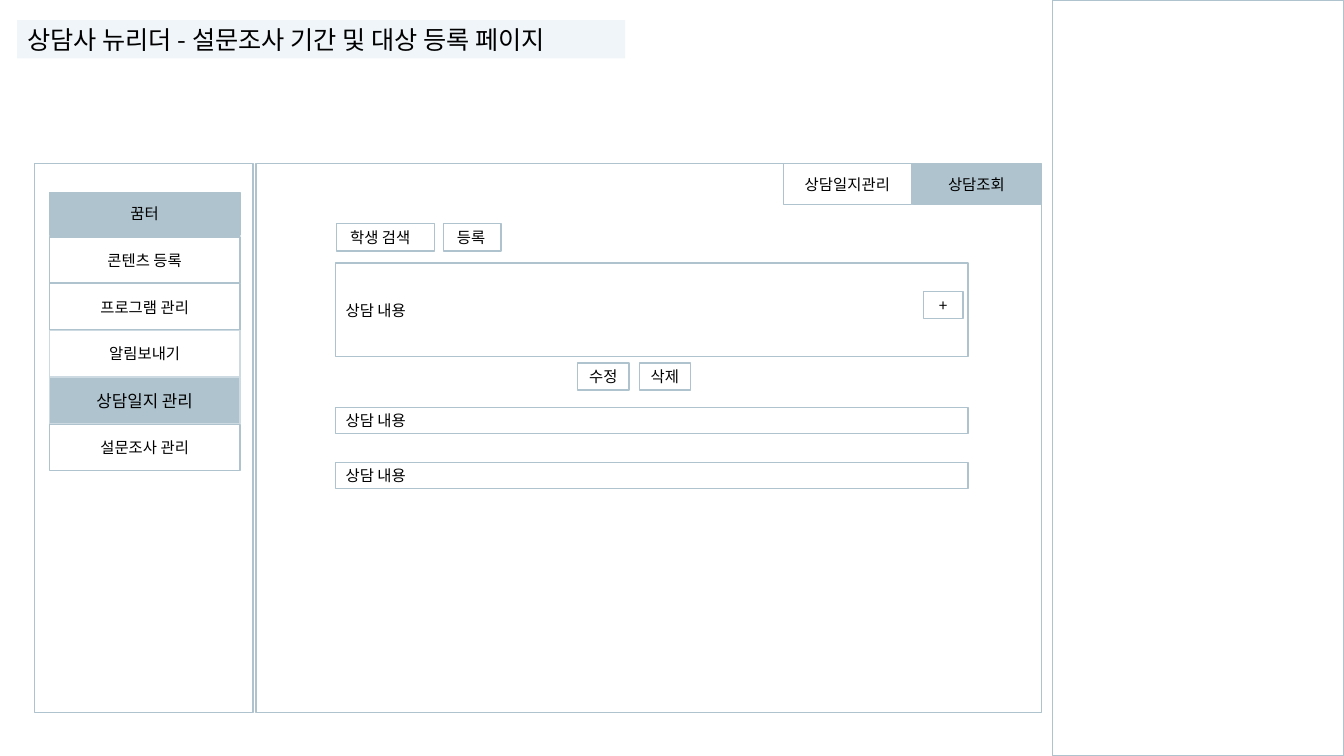
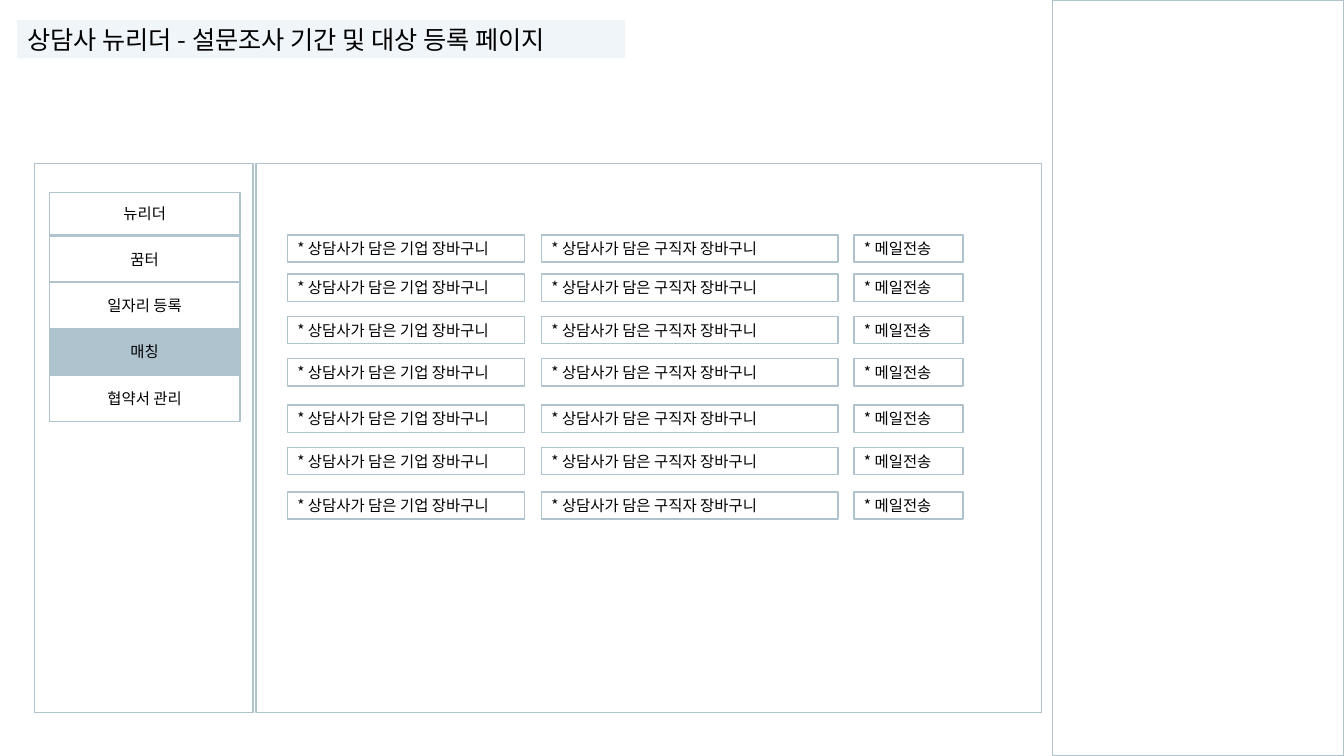
from lxml.etree import SubElement
from pptx import Presentation
from pptx.dml.color import RGBColor
from pptx.enum.shapes import MSO_SHAPE
from pptx.enum.text import MSO_ANCHOR, MSO_AUTO_SIZE, PP_ALIGN
from pptx.oxml.ns import qn
from pptx.util import Inches, Pt

COLORS = {"line": "AFC3CE", "pale": "CDDAE1", "band": "F0F5F9", "text": "000000"}
FONT = "Noto Sans CJK KR"
TITLE = "상담사 뉴리더 - 설문조사 기간 및 대상 등록 페이지"
FRAME = {
    "word_wrap": True,
    "auto_size": MSO_AUTO_SIZE.NONE,
    "vertical_anchor": MSO_ANCHOR.MIDDLE,
    "margin_left": Inches(0.1),
    "margin_right": Inches(0.1),
    "margin_top": Inches(0.05),
    "margin_bottom": Inches(0.05),
}
TITLE_BOX = (0.17, 0.2, 6.03, 0.38)
NOTES_BOX = (10.44, 0, 2.89, 7.5)
SIDE_BOX = (0.34, 1.62, 2.17, 5.45)
MAIN_BOX = (2.54, 1.62, 7.79, 5.45)
BUTTON_H = 0.27
LEFT, CENTER = PP_ALIGN.LEFT, PP_ALIGN.CENTER


def set_attrs(obj, values):
    for name, value in values.items():
        setattr(obj, name, value)


def color(name):
    return RGBColor.from_string(COLORS[name])


def write(sp, text, size, align):
    tf = sp.text_frame
    set_attrs(tf, FRAME)
    p = tf.paragraphs[0]
    p.alignment = align
    r = p.add_run()
    r.text = text
    set_attrs(r.font, {"name": FONT, "size": Pt(size), "bold": False})
    r.font.color.rgb = color("text")
    SubElement(r.font._element, qn("a:ea"), typeface=FONT)


def add_box(slide, box, text="", align=CENTER, fill=None, line="line", size=11):
    sp = slide.shapes.add_shape(MSO_SHAPE.RECTANGLE, *map(Inches, box))
    sp.shadow.inherit = False
    if fill:
        sp.fill.solid()
        sp.fill.fore_color.rgb = color(fill)
    else:
        sp.fill.background()
    sp.line.color.rgb = color(line)
    sp.line.width = Pt(1)
    if text:
        write(sp, text, size, align)


def add_title(slide, box):
    sp = slide.shapes.title
    set_attrs(sp, dict(zip(("left", "top", "width", "height"), map(Inches, box))))
    sp.fill.solid()
    sp.fill.fore_color.rgb = color("band")
    write(sp, TITLE, 18, LEFT)


def add_menu(slide, box, items, start, pitch):
    left, top, width, _ = box
    add_box(slide, box)
    for i, (text, style) in enumerate(items):
        y, height = (start + (i - 1) * pitch, 0.46) if i else (0.29, 0.42)
        add_box(slide, (left + 0.15, top + y, width - 0.28, height), text, **style)


def add_journal(slide, box):
    left, top, width, _ = box
    tab_w = 1.27
    for i, (text, fill) in enumerate((("상담일지관리", None), ("상담조회", "line"))):
        x = left + width - (2 - i) * (tab_w + 0.01)
        add_box(slide, (x, top, tab_w, 0.41), text, fill=fill)
    for y, height in ((0.99, 0.93), (2.42, 0.26), (2.97, 0.26)):
        add_box(slide, (left + 0.79, top + y, 6.27, height), "상담 내용", LEFT)
    buttons = (
        (" 학생 검색", 0.8, 0.6, 0.97, LEFT),
        (" 등록", 1.86, 0.6, 0.57, LEFT),
        ("+", 6.62, 1.27, 0.39, CENTER),
        ("수정", 3.19, 1.98, 0.51, CENTER),
        ("삭제", 3.8, 1.98, 0.51, CENTER),
    )
    for text, x, y, w, align in buttons:
        add_box(slide, (left + x, top + y, w, BUTTON_H), text, align)


def add_matching(slide, box):
    left, top, _, _ = box
    columns = (
        ("* 상담사가 담은 기업 장바구니", 0.31, 2.35),
        ("* 상담사가 담은 구직자 장바구니", 2.83, 2.94),
        ("* 메일전송", 5.93, 1.08),
    )
    for y in (0.71, 1.1, 1.52, 1.94, 2.4, 2.82, 3.26):
        for text, x, w in columns:
            add_box(slide, (left + x, top + y, w, BUTTON_H), text, LEFT)


def add_page(prs, add_content, items, start, pitch):
    slide = prs.slides.add_slide(prs.slide_layouts[5])
    add_title(slide, TITLE_BOX)
    add_box(slide, NOTES_BOX)
    add_box(slide, MAIN_BOX)
    add_content(slide, MAIN_BOX)
    add_menu(slide, SIDE_BOX, items, start, pitch)


def main():
    prs = Presentation()
    set_attrs(prs, {"slide_width": Inches(13.33), "slide_height": Inches(7.5)})
    active = {"fill": "line"}
    journal_menu = (
        ("꿈터", active),
        ("콘텐츠 등록", {}),
        ("프로그램 관리", {}),
        ("알림보내기", {"line": "pale"}),
        ("상담일지 관리", {"fill": "line", "line": "pale", "size": 12}),
        ("설문조사 관리", {}),
    )
    matching_menu = (
        ("뉴리더", {}),
        ("꿈터", {}),
        ("일자리 등록", {}),
        ("매칭", active),
        ("협약서 관리", {}),
    )
    add_page(prs, add_journal, journal_menu, 0.73, 0.465)
    add_page(prs, add_matching, matching_menu, 0.72, 0.46)
    prs.save("out.pptx")


if __name__ == "__main__":
    main()
